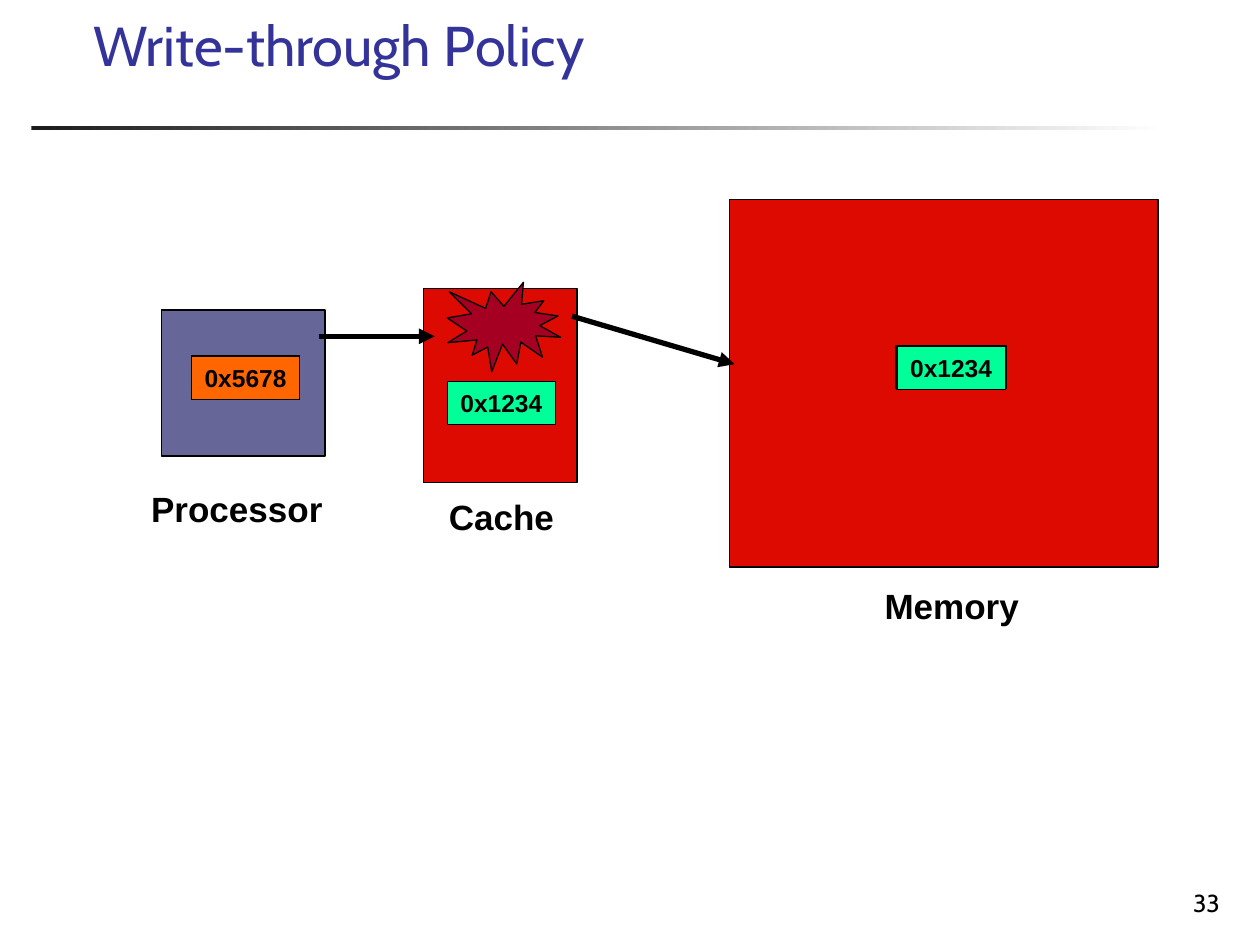
import dataclasses
import typing

import lxml.etree
import pptx
import pptx.dml.color
import pptx.enum.shapes
import pptx.enum.text
import pptx.oxml.ns
import pptx.util

Pt = pptx.util.Pt
Color = pptx.dml.color.RGBColor
Preset = pptx.enum.shapes.MSO_SHAPE
Align = pptx.enum.text.PP_ALIGN
Anchor = pptx.enum.text.MSO_ANCHOR
AutoSize = pptx.enum.text.MSO_AUTO_SIZE


@dataclasses.dataclass(frozen=True)
class Theme:
    title: Color = Color(0x33, 0x33, 0x99)
    ink: Color = Color(0, 0, 0)
    paper: Color = Color(0xFF, 0xFF, 0xFF)
    rule: Color = Color(0x1C, 0x1C, 0x1C)
    storage: Color = Color(0xDC, 0x0A, 0x00)
    processor: Color = Color(0x66, 0x66, 0x99)
    burst: Color = Color(0xA5, 0x00, 0x21)
    old_word: Color = Color(0x00, 0xFF, 0x99)
    new_word: Color = Color(0xFF, 0x66, 0x00)
    heading_font: str = "Cabin"
    diagram_font: str = "Arial"
    title_size: float = 32
    label_size: float = 20
    word_size: float = 14
    number_size: float = 14
    outline: float = 0.75
    arrow: float = 3


class Box(typing.NamedTuple):
    left: float
    top: float
    width: float
    height: float


@dataclasses.dataclass(frozen=True)
class Block:
    box: Box
    fill: Color
    preset: Preset = Preset.RECTANGLE


@dataclasses.dataclass(frozen=True)
class Caption:
    text: str
    box: Box
    size: float
    font: str
    color: Color
    align: Align
    anchor: Anchor = Anchor.BOTTOM
    wrap: bool = True


@dataclasses.dataclass(frozen=True)
class Word:
    text: str
    left: float
    top: float
    fill: Color


class Arrow(typing.NamedTuple):
    x1: float
    y1: float
    x2: float
    y2: float


THEME = Theme()
WORD_WIDTH, WORD_HEIGHT = 61.9, 24.5

BLOCKS = [
    Block(Box(416.9, 113.8, 244.8, 210.2), THEME.storage),
    Block(Box(92.2, 177.1, 93.6, 83.5), THEME.processor),
    Block(Box(241.9, 164.9, 87.8, 110.9), THEME.storage),
]
ARROWS = [Arrow(182.2, 192.2, 248.4, 192.2), Arrow(326.9, 180.7, 419.8, 208.1)]
BURST = Block(Box(255.6, 161.3, 64.8, 51.1), THEME.burst, Preset.EXPLOSION1)
WORDS = [
    Word("0x1234", 511.9, 197.3, THEME.old_word),
    Word("0x1234", 513.4, 197.3, THEME.old_word),
    Word("0x1234", 512.6, 198, THEME.old_word),
    Word("0x1234", 255.6, 218.2, THEME.old_word),
    Word("0x5678", 109.4, 203, THEME.new_word),
    Word("0x5678", 109.4, 203.8, THEME.new_word),
]
HEADINGS = [
    Caption("Write-through Policy", Box(46.1, 10.8, 637.9, 37.4), THEME.title_size,
            THEME.heading_font, THEME.title, Align.LEFT),
    Caption("33", Box(554.4, 491.8, 149.8, 36), THEME.number_size,
            THEME.heading_font, THEME.ink, Align.RIGHT),
]
LABELS = [
    ("Processor", Box(79.2, 275, 112.3, 31)),
    ("Cache", Box(249.1, 279.4, 74.9, 31)),
    ("Memory", Box(498.2, 330.5, 91.4, 31)),
]


def write(shape, text: str, size: float, font: str, color: Color, align: Align,
          anchor: Anchor, wrap: bool, bold: bool) -> None:
    frame = shape.text_frame
    frame.word_wrap = wrap
    frame.auto_size = AutoSize.NONE if wrap else AutoSize.SHAPE_TO_FIT_TEXT
    frame.vertical_anchor = anchor
    paragraph = frame.paragraphs[0]
    paragraph.alignment = align
    run = paragraph.add_run()
    run.text = text
    run.font.name = font
    run.font.size = Pt(size)
    run.font.bold = bold
    run.font.color.rgb = color


def add_block(slide, block: Block):
    shape = slide.shapes.add_shape(block.preset, *map(Pt, block.box))
    shape.shadow.inherit = False
    shape.fill.solid()
    shape.fill.fore_color.rgb = block.fill
    shape.line.color.rgb = THEME.ink
    shape.line.width = Pt(THEME.outline)
    return shape


def add_caption(slide, caption: Caption) -> None:
    box = slide.shapes.add_textbox(*map(Pt, caption.box))
    write(box, caption.text, caption.size, caption.font, caption.color,
          caption.align, caption.anchor, caption.wrap, not caption.wrap)


def add_word(slide, word: Word) -> None:
    cell = add_block(slide, Block(Box(word.left, word.top, WORD_WIDTH, WORD_HEIGHT), word.fill))
    write(cell, word.text, THEME.word_size, THEME.diagram_font, THEME.ink,
          Align.CENTER, Anchor.TOP, False, True)


def add_arrow(slide, arrow: Arrow) -> None:
    connector = slide.shapes.add_connector(
        pptx.enum.shapes.MSO_CONNECTOR.STRAIGHT, *map(Pt, arrow))
    connector.line.color.rgb = THEME.ink
    connector.line.width = Pt(THEME.arrow)
    qn = pptx.oxml.ns.qn
    lxml.etree.SubElement(connector.line._get_or_add_ln(), qn("a:tailEnd"), type="triangle")
    lxml.etree.SubElement(connector._element.spPr, qn("a:effectLst"))


def add_title_rule(slide) -> None:
    rule = slide.shapes.add_shape(Preset.RECTANGLE, Pt(18), Pt(72), Pt(648), Pt(2.2))
    rule.shadow.inherit = False
    rule.line.fill.background()
    rule.fill.gradient()
    rule.fill.gradient_angle = 0
    for stop, position, color in zip(
            rule.fill.gradient_stops, (0, 1), (THEME.rule, THEME.paper)):
        stop.position = position
        stop.color.rgb = color


def main() -> None:
    deck = pptx.Presentation()
    deck.slide_width, deck.slide_height = Pt(720), Pt(540)
    slide = deck.slides.add_slide(deck.slide_layouts[6])
    add_title_rule(slide)
    for heading in HEADINGS:
        add_caption(slide, heading)
    for block in BLOCKS:
        add_block(slide, block)
    for arrow in ARROWS:
        add_arrow(slide, arrow)
    add_block(slide, BURST)
    for text, box in LABELS:
        add_caption(slide, Caption(text, box, THEME.label_size, THEME.diagram_font,
                                   THEME.ink, Align.CENTER, Anchor.TOP, False))
    for word in WORDS:
        add_word(slide, word)
    deck.save("out.pptx")


if __name__ == "__main__":
    main()
